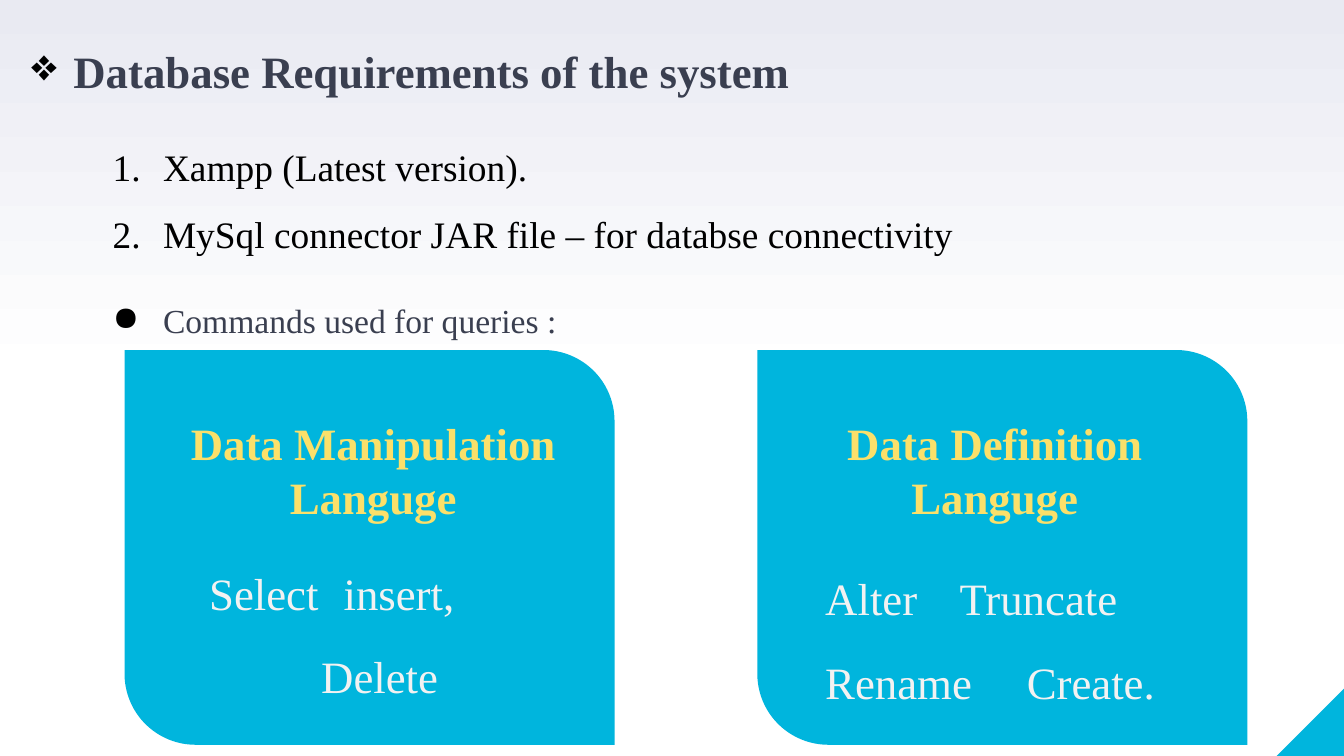
from copy import deepcopy

from pptx import Presentation
from pptx.dml.color import RGBColor
from pptx.enum.shapes import MSO_SHAPE
from pptx.enum.text import PP_ALIGN
from pptx.oxml.ns import qn
from pptx.util import Pt
from lxml.etree import SubElement

PX = 9525
WIDTH, HEIGHT = 960, 540
FONT = "Times New Roman"
WHITE = RGBColor(0xFF, 0xFF, 0xFF)
LAVENDER = RGBColor(0xE9, 0xEA, 0xF2)
CYAN = RGBColor(0x00, 0xB5, 0xDD)
SLATE = RGBColor(0x3A, 0x3F, 0x50)
BLACK = RGBColor(0x00, 0x00, 0x00)
YELLOW = RGBColor(0xFB, 0xE0, 0x6A)
PALE = RGBColor(0xF2, 0xF2, 0xF2)


def add_filled_shape(slide, kind, box):
    """Add a plain cyan shape in the given box."""
    shape = slide.shapes.add_shape(kind, *(length * PX for length in box))
    shape.shadow.inherit = False
    shape.fill.solid()
    shape.fill.fore_color.rgb = CYAN
    shape.line.fill.background()
    return shape


def add_text_frame(slide, box, inset=5):
    """Add a wrapping text box and return its frame."""
    frame = slide.shapes.add_textbox(*(length * PX for length in box)).text_frame
    frame.word_wrap = True
    frame.margin_top = frame.margin_bottom = inset * PX
    return frame


def add_paragraph(frame, text, size, color, bold=False):
    """Add one styled paragraph, reusing the empty first one."""
    first = frame.paragraphs[0]
    paragraph = frame.add_paragraph() if first.runs else first
    run = paragraph.add_run()
    run.text = text
    run.font.name = FONT
    run.font.size = Pt(size)
    run.font.bold = bold
    run.font.color.rgb = color
    return paragraph


def set_indent(paragraph, margin, hanging=0):
    """Set the left margin and the hanging indent."""
    properties = paragraph._p.get_or_add_pPr()
    properties.set("marL", str(margin * PX))
    properties.set("indent", str(-hanging * PX))
    return properties


def set_bullet(paragraph, indent, character=None):
    """Give a paragraph a black bullet, or a number without a character."""
    properties = set_indent(paragraph, indent, indent)
    color = SubElement(properties, qn("a:buClr"))
    SubElement(color, qn("a:srgbClr"), val=str(BLACK))
    if character:
        SubElement(properties, qn("a:buChar"), char=character)
    else:
        SubElement(properties, qn("a:buAutoNum"), type="arabicPeriod")


def set_tab(paragraph, position):
    """Add one left tab stop."""
    tabs = SubElement(paragraph._p.get_or_add_pPr(), qn("a:tabLst"))
    SubElement(tabs, qn("a:tab"), pos=str(position * PX), algn="l")


def paint_background(slide):
    """Fade from white at the bottom to lavender at the top."""
    fill = slide.background.fill
    fill.gradient()
    fill.gradient_angle = 90
    start, end = fill.gradient_stops
    start.color.rgb, start.position = WHITE, 0
    end.color.rgb, end.position = LAVENDER, 1
    stops = next(slide.element.iter(qn("a:gsLst")))
    middle = deepcopy(stops[0])
    middle.set("pos", "50000")
    stops.insert(1, middle)


def add_title(slide, box):
    """Add the bulleted slide title."""
    paragraph = add_paragraph(add_text_frame(slide, box),
                              "Database Requirements of the system", 24, SLATE, True)
    set_bullet(paragraph, 30, "❖")


def add_requirements(slide, box):
    """Add the numbered requirements and the line that introduces the cards."""
    left, top, width, height = box
    frame = add_text_frame(slide, (left, top, width, 101))
    for text in ("Xampp (Latest version).",
                 "MySql connector JAR file – for databse connectivity"):
        paragraph = add_paragraph(frame, text, 20, BLACK)
        set_bullet(paragraph, 36)
        paragraph.line_spacing = 1.5
    frame = add_text_frame(slide, (left, top + height - 48, width, 48))
    paragraph = add_paragraph(frame, "Commands used for queries :", 18, SLATE)
    set_bullet(paragraph, 36, "●")
    paragraph.line_spacing = 1.5
    paragraph.space_after = Pt(8)


def add_card(slide, box, heading, heading_box, commands, commands_box):
    """Add a card; inner boxes are relative to it, commands are (text, margin, tab)."""
    left, top = box[:2]
    card = add_filled_shape(slide, MSO_SHAPE.ROUND_2_DIAG_RECTANGLE, box)
    card.adjustments[0], card.adjustments[1] = 0, 0.18
    inner = [(left + x, top + y, width, height)
             for x, y, width, height in (heading_box, commands_box)]
    paragraph = add_paragraph(add_text_frame(slide, inner[0], 10), heading, 24, YELLOW, True)
    paragraph.alignment = PP_ALIGN.CENTER
    frame = add_text_frame(slide, inner[1], 10)
    for text, margin, tab in commands:
        paragraph = add_paragraph(frame, text, 24, PALE)
        set_indent(paragraph, margin)
        if tab:
            set_tab(paragraph, tab)
        paragraph.space_after = Pt(16)


def main():
    """Build and save the slide."""
    presentation = Presentation()
    presentation.slide_width = WIDTH * PX
    presentation.slide_height = HEIGHT * PX
    slide = presentation.slides.add_slide(presentation.slide_layouts[6])
    paint_background(slide)
    corner = add_filled_shape(slide, MSO_SHAPE.RIGHT_TRIANGLE, (912, 491, 49, 49))
    corner._element.spPr.get_or_add_xfrm().set("flipH", "1")
    add_title(slide, (13, 26, 575, 48))
    add_requirements(slide, (71, 82, 780, 161))
    add_card(slide, (541, 250, 350, 282),
             "Data Definition Languge", (39, 37, 261, 83),
             [("Alter\tTruncate", 0, 153), ("Rename\tCreate.", 0, 161)],
             (39, 148, 324, 92))
    add_card(slide, (89, 250, 350, 282),
             "Data Manipulation Languge", (30, 37, 295, 83),
             [("Select\tinsert,", 0, 150), ("Delete", 80, None)],
             (51, 144, 324, 92))
    presentation.save("out.pptx")


if __name__ == "__main__":
    main()
